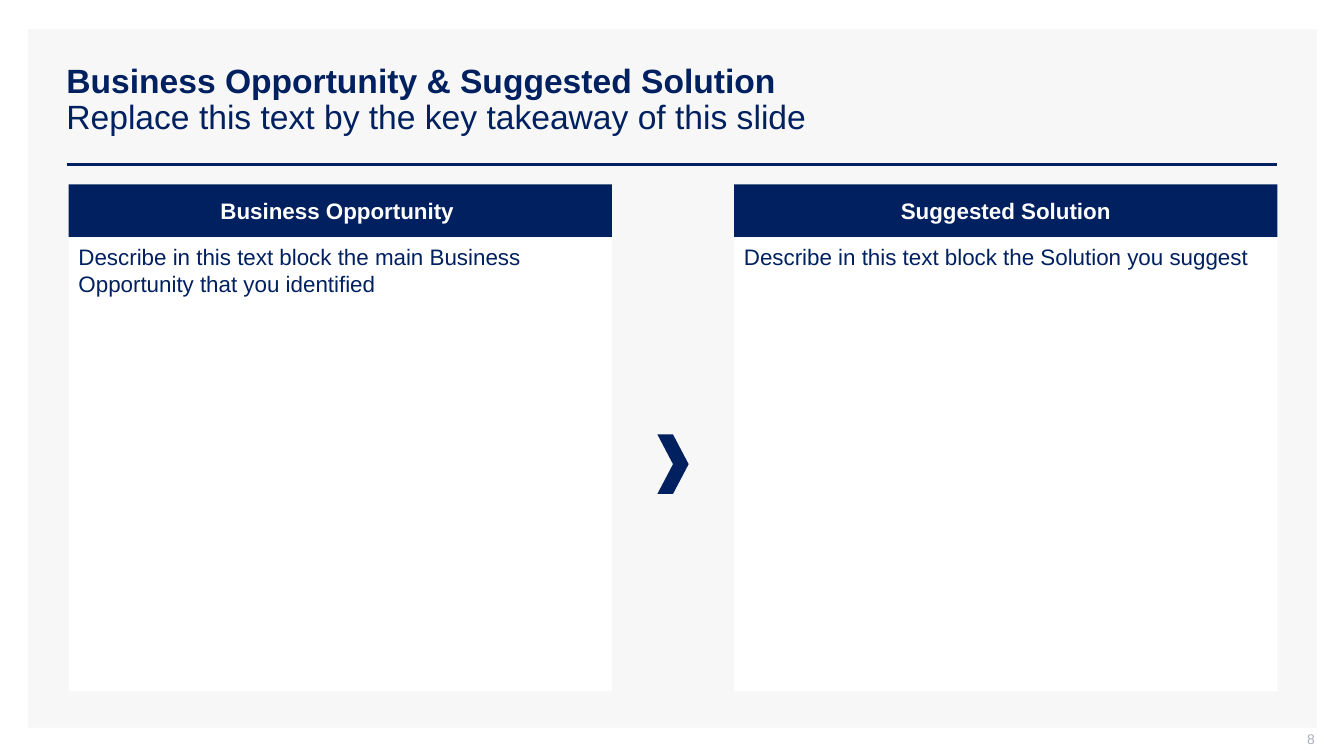
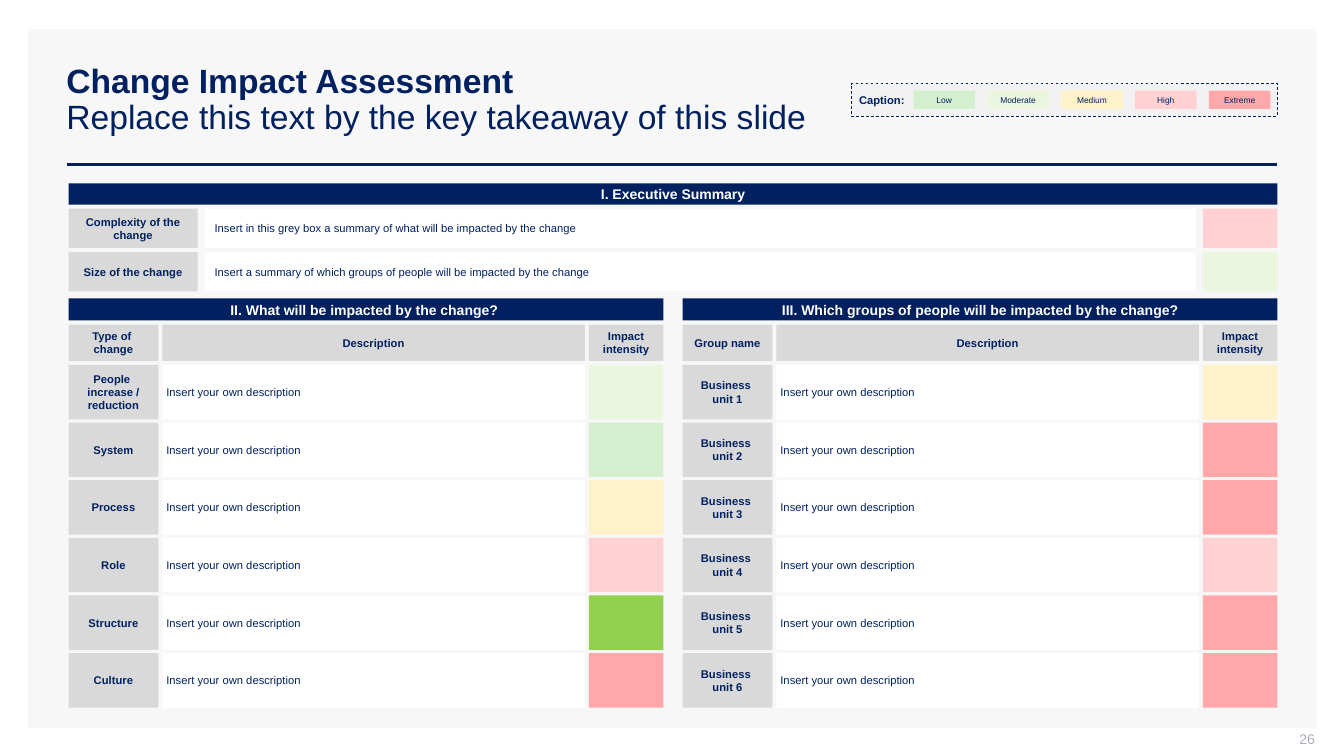
from dataclasses import dataclass

import pptx
import pptx.dml.color
import pptx.enum.dml
import pptx.enum.shapes
import pptx.enum.text
import pptx.oxml.ns
import pptx.shapes.autoshape
import pptx.slide
import pptx.util
from lxml import etree
from pptx.util import Inches

COLORS = {
    "navy": "002060", "white": "FFFFFF", "panel": "F7F7F7", "grey": "D9D9D9",
    "caption": "F2F2F2", "number": "ADAFBB", "green": "92D050",
    "Low": "D3EFCE", "Moderate": "EBF6DE", "Medium": "FFF2C9",
    "High": "FFD1D2", "Extreme": "FFA7A9",
}
FONT = "Arial"
LEFT, FULL_WIDTH = 0.68, 11.99
INTENSITY_WIDTH = 0.74
INTENSITY_LEFT = LEFT + FULL_WIDTH - INTENSITY_WIDTH
ALIGN = pptx.enum.text.PP_ALIGN
ANCHOR = pptx.enum.text.MSO_ANCHOR
SHAPE = pptx.enum.shapes.MSO_SHAPE


@dataclass(frozen=True)
class Style:
    size: float
    color: str = "navy"
    bold: bool = False
    align: ALIGN = ALIGN.LEFT
    anchor: ANCHOR = ANCHOR.MIDDLE
    insets: tuple[float, float, float, float] = (0.1, 0.05, 0.1, 0.05)
    line_spacing: float = 1.0


@dataclass(frozen=True)
class Row:
    label: str
    level: str


@dataclass(frozen=True)
class ImpactPanel:
    left: float
    title: str
    label_header: str
    rows: tuple[Row, ...]


NARROW = (0.04, 0.05, 0.04, 0.05)
TITLE = Style(24, bold=True, line_spacing=0.9)
NUMBER = Style(10, "number", align=ALIGN.RIGHT, insets=(0.1, 0, 0, 0.05))
COLUMN_HEADER = Style(16, "white", True, ALIGN.CENTER)
COLUMN_BODY = Style(16, anchor=ANCHOR.TOP)
SECTION = Style(10, "white", True, ALIGN.CENTER)
LABEL = Style(8, bold=True, align=ALIGN.CENTER)
NARROW_LABEL = Style(8, bold=True, align=ALIGN.CENTER, insets=NARROW)
SUMMARY = Style(8)
DESCRIPTION = Style(8, insets=NARROW)
CAPTION = Style(8, bold=True, insets=(0.08, 0.1, 0.08, 0.08), line_spacing=0.9)
LEGEND = Style(6, align=ALIGN.CENTER)

COLUMNS = (
    (LEFT, "Business Opportunity ",
     "Describe in this text block the main Business Opportunity that you identified"),
    (7.28, "Suggested Solution", "Describe in this text block the Solution you suggest"),
)
LEVELS = ("Low", "Moderate", "Medium", "High", "Extreme")
SUMMARIES = (
    ("Complexity of the change",
     "Insert in this grey box a summary of what will be impacted by the change", "High"),
    ("Size of the change",
     "Insert a summary of which groups of people will be impacted by the change", "Moderate"),
)
UNIT_LEVELS = ("Medium", "Extreme", "Extreme", "High", "Extreme", "Extreme")
PANELS = (
    ImpactPanel(LEFT, "II. What will be impacted by the change? ", "Type of \vchange", (
        Row("People \vincrease / reduction", "Moderate"),
        Row("System", "Low"),
        Row("Process", "Medium"),
        Row("Role", "High"),
        Row("Structure", "green"),
        Row("Culture", "Extreme"),
    )),
    ImpactPanel(6.77, "III. Which groups of people will be impacted by the change?", "Group name",
                tuple(Row(f"Business \vunit {number}", level)
                      for number, level in enumerate(UNIT_LEVELS, start=1))),
)


def rgb(name: str) -> pptx.dml.color.RGBColor:
    return pptx.dml.color.RGBColor.from_string(COLORS[name])


def write(box: pptx.shapes.autoshape.Shape, text: str, style: Style) -> None:
    frame = box.text_frame
    frame.word_wrap = True
    frame.vertical_anchor = style.anchor
    frame.margin_left, frame.margin_top, frame.margin_right, frame.margin_bottom = map(
        Inches, style.insets)
    para = frame.paragraphs[0]
    para.text = text
    para.alignment = style.align
    para.line_spacing = style.line_spacing
    for span in para.runs:
        span.font.name = FONT
        span.font.size = pptx.util.Pt(style.size)
        span.font.bold = style.bold
        span.font.color.rgb = rgb(style.color)


def add_text(page: pptx.slide.Slide, left: float, top: float, width: float, height: float,
             text: str, style: Style) -> pptx.shapes.autoshape.Shape:
    box = page.shapes.add_textbox(Inches(left), Inches(top), Inches(width), Inches(height))
    write(box, text, style)
    return box


def add_box(page: pptx.slide.Slide, left: float, top: float, width: float, height: float,
            fill: str, text: str = "", style: Style = LABEL,
            kind: SHAPE = SHAPE.RECTANGLE) -> pptx.shapes.autoshape.Shape:
    box = page.shapes.add_shape(kind, Inches(left), Inches(top), Inches(width), Inches(height))
    box.shadow.inherit = False
    box.fill.solid()
    box.fill.fore_color.rgb = rgb(fill)
    box.line.fill.background()
    if text:
        write(box, text, style)
    return box


def add_page(deck: pptx.presentation.Presentation, title: str, number: int) -> pptx.slide.Slide:
    """Add a page with the grey panel, title, rule and page number."""
    page = deck.slides.add_slide(deck.slide_layouts[6])
    add_box(page, 0.28, 0.29, 12.78, 6.93, "panel")

    rule = page.shapes.add_connector(pptx.enum.shapes.MSO_CONNECTOR.STRAIGHT,
                                     Inches(0.66), Inches(1.63), Inches(12.67), Inches(1.63))
    rule.line.color.rgb = rgb("navy")
    rule.line.width = pptx.util.Pt(2)
    etree.SubElement(rule._element.spPr, pptx.oxml.ns.qn("a:effectLst"))

    heading = add_text(page, 0.56, 0.4, 12.11, 1.19,
                       f"{title}\vReplace this text by the key takeaway of this slide", TITLE)
    heading.text_frame.paragraphs[0].runs[1].font.bold = False
    add_text(page, 10.04, 7.25, 3, 0.21, str(number), NUMBER)
    return page


def build_opportunity(deck: pptx.presentation.Presentation) -> None:
    page = add_page(deck, "Business Opportunity & Suggested Solution", 8)
    for left, header, body in COLUMNS:
        add_box(page, left, 1.83, 5.39, 0.52, "navy", header, COLUMN_HEADER)
        add_box(page, left, 2.36, 5.39, 4.5, "white", body, COLUMN_BODY)
    add_box(page, 6.52, 4.31, 0.31, 0.59, "navy", kind=SHAPE.CHEVRON)


def add_legend(page: pptx.slide.Slide) -> None:
    frame = add_box(page, 8.44, 0.83, 4.23, 0.32, "caption", "Caption:", CAPTION)
    frame.line.color.rgb = rgb("navy")
    frame.line.width = pptx.util.Pt(0.5)
    frame.line.dash_style = pptx.enum.dml.MSO_LINE.DASH
    first, last = 9.06, 11.99
    pitch = (last - first) / (len(LEVELS) - 1)
    for index, level in enumerate(LEVELS):
        chip = add_box(page, first + index * pitch, 0.9, 0.61, 0.18, level, level, LEGEND,
                       SHAPE.ROUNDED_RECTANGLE)
        chip.adjustments[0] = 0.04


def add_panel(page: pptx.slide.Slide, panel: ImpactPanel) -> None:
    width, label_width, description_width = 5.9, 0.89, 4.19
    description_left = panel.left + 0.93
    intensity_left = panel.left + width - INTENSITY_WIDTH
    add_box(page, panel.left, 2.96, width, 0.22, "navy", panel.title, SECTION)

    # Column headers
    for left, header_width, header in (
        (panel.left, label_width, panel.label_header),
        (description_left, description_width, "Description"),
        (intensity_left, INTENSITY_WIDTH, "Impact intensity"),
    ):
        add_box(page, left, 3.22, header_width, 0.36, "grey", header, NARROW_LABEL)

    # Rows
    first, last, height = 3.62, 6.48, 0.54
    pitch = (last - first) / (len(panel.rows) - 1)
    for index, row in enumerate(panel.rows):
        top = first + index * pitch
        add_box(page, panel.left, top, label_width, height, "grey", row.label, NARROW_LABEL)
        add_box(page, description_left, top, description_width, height, "white",
                "Insert your own description", DESCRIPTION)
        add_box(page, intensity_left, top, INTENSITY_WIDTH, height, row.level)


def build_impact(deck: pptx.presentation.Presentation) -> None:
    page = add_page(deck, "Change Impact Assessment", 26)
    add_legend(page)

    # Executive summary
    add_box(page, LEFT, 1.82, FULL_WIDTH, 0.21, "navy", "I. Executive Summary", SECTION)
    for index, (label, summary, level) in enumerate(SUMMARIES):
        top = 2.07 + index * 0.43
        add_box(page, LEFT, top, 1.28, 0.39, "grey", label, LABEL)
        add_box(page, 2.03, top, 9.83, 0.39, "white", summary, SUMMARY)
        add_box(page, INTENSITY_LEFT, top, INTENSITY_WIDTH, 0.39, level)

    for panel in PANELS:
        add_panel(page, panel)


def main() -> None:
    deck = pptx.Presentation()
    deck.slide_width = Inches(13.33)
    deck.slide_height = Inches(7.5)
    build_opportunity(deck)
    build_impact(deck)
    deck.save("out.pptx")


if __name__ == "__main__":
    main()
